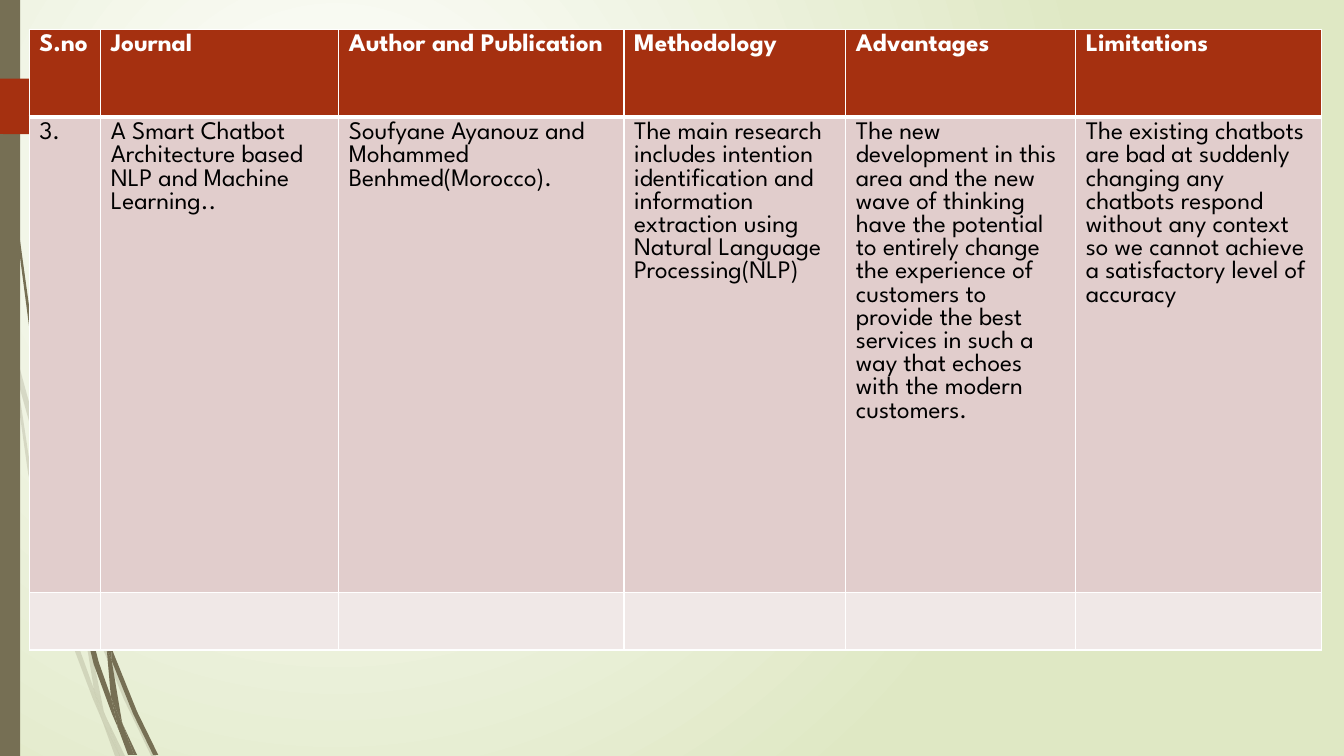
import pptx
import pptx.dml.color
import pptx.enum.dml
import pptx.enum.shapes
import pptx.oxml
import pptx.oxml.ns
import pptx.util
from lxml import etree

RGBColor = pptx.dml.color.RGBColor
Inches = pptx.util.Inches
Pt = pptx.util.Pt
qn = pptx.oxml.ns.qn

OLIVE = RGBColor(0x76, 0x6F, 0x54)
RUST = RGBColor(0xA5, 0x30, 0x10)
ROSE = RGBColor(0xE1, 0xCD, 0xCC)
PALE_ROSE = RGBColor(0xF0, 0xE8, 0xE7)
WHITE = RGBColor(0xFF, 0xFF, 0xFF)
BLACK = RGBColor(0x00, 0x00, 0x00)
PALE_GREEN = RGBColor(0xDF, 0xE8, 0xC4)

FONT = "League Spartan"
SLIDE_W, SLIDE_H = 13.33, 7.5

# Grass blades: outline points in inches from the corner of the decoration
FAINT_BLADES = [
    [(0.11, 3.5), (0.09, 3.22), (0, 2.82), (0, 2.99), (0.1, 3.44)],
    [(0.58, 5.22), (0.84, 5.99), (0.85, 5.86), (0.62, 5.2), (0.14, 3.45), (0.17, 3.76)],
    [(0.92, 6.07), (0.88, 5.96), (0.88, 6.1), (1.23, 6.94), (1.5, 7.5), (1.55, 7.5),
     (1.27, 6.92)],
    [(1.19, 7.5), (1.24, 7.5), (1.05, 7.11)],
    [(0.93, 6.83), (0.7, 6.19), (0.31, 4.69), (0.17, 3.76), (0.11, 3.5), (0.28, 4.7),
     (0.65, 6.21), (0.92, 6.93), (1.01, 7.14), (0.99, 7.07)],
    [(0.84, 5.99), (0.87, 6.46), (0.93, 6.83), (0.96, 6.92), (1.05, 7.11), (1.03, 7.06),
     (0.91, 6.46), (0.88, 6.1), (0.88, 6.08)],
    [(0.88, 5.84), (1.1, 4.62), (1.6, 3.49), (2.29, 2.45), (2.68, 1.98), (2.9, 1.75),
     (3.12, 1.54), (3.12, 1.53), (2.89, 1.75), (2.68, 1.97), (2.28, 2.44), (1.58, 3.48),
     (1.07, 4.61), (0.85, 5.84), (0.85, 5.86), (0.88, 5.96)],
    [(1.01, 7.14), (1.14, 7.5), (1.19, 7.5)],
    [(0.88, 6.08), (0.88, 6.1), (0.88, 5.96), (0.85, 5.86), (0.84, 5.99)],
    [(0.96, 6.92), (0.93, 6.83), (0.99, 7.07), (1.01, 7.14), (1.19, 7.5), (1.05, 7.11)],
]
DARK_BLADES = [
    [(0.07, 1.1), (0.17, 2.33), (0.33, 3.55), (0.56, 4.77), (0.57, 4.81), (0.55, 4.57),
     (0.55, 4.53), (0.36, 3.55), (0.19, 2.32), (0.08, 1.09), (0.05, 0.48), (0.04, 0),
     (0.03, 0), (0.04, 0.48)],
    [(0.88, 5.92), (1.06, 6.45), (1.06, 6.31), (0.93, 5.9), (0.6, 4.72), (0.64, 5.05)],
    [(1.13, 6.49), (1.1, 6.41), (1.11, 6.56), (1.32, 7.08), (1.52, 7.49), (1.57, 7.49),
     (1.36, 7.06)],
    [(1.1, 6.91), (0.98, 6.57), (0.72, 5.56), (0.64, 5.05), (0.57, 4.77), (0.68, 5.57),
     (0.93, 6.59), (1.11, 7.08), (1.17, 7.22), (1.16, 7.17)],
    [(0.6, 4.72), (0.58, 4.53), (0.54, 3.49), (0.58, 2.45), (0.63, 1.93), (0.7, 1.41),
     (0.62, 1.93), (0.56, 2.45), (0.52, 3.49), (0.55, 4.49)],
    [(1.33, 7.49), (1.36, 7.49), (1.22, 7.19)],
    [(0.57, 4.77), (0.64, 5.05), (0.6, 4.72), (0.55, 4.49), (0.55, 4.53)],
    [(1.11, 6.33), (1.25, 5.52), (1.58, 4.76), (2.05, 4.06), (2.31, 3.74), (2.45, 3.59),
     (2.61, 3.44), (2.45, 3.58), (2.31, 3.73), (2.04, 4.05), (1.56, 4.74), (1.22, 5.51),
     (1.06, 6.31), (1.1, 6.41)],
    [(1.17, 7.22), (1.27, 7.49), (1.31, 7.49)],
    [(1.06, 6.45), (1.1, 6.91), (1.16, 7.06), (1.22, 7.19), (1.21, 7.16), (1.11, 6.56),
     (1.09, 6.51)],
    [(1.06, 6.45), (1.09, 6.51), (1.11, 6.56), (1.1, 6.41), (1.06, 6.31)],
    [(1.16, 7.06), (1.1, 6.91), (1.16, 7.17), (1.17, 7.22), (1.3, 7.49), (1.33, 7.49),
     (1.22, 7.19)],
]
RUST_TAG = [(1.74, 0.28), (1.48, 0.55), (1.46, 0.56), (0, 0.55), (0, 0), (1.46, 0),
            (1.48, 0.01), (1.73, 0.26)]

COLUMNS = [0.71, 2.36, 2.83, 2.2, 2.28, 2.44]
ROWS = [0.87, 4.72, 0.57]
ROW_FILLS = [RUST, ROSE, PALE_ROSE]
SURVEY = [
    ["S.no", "Journal", "Author and Publication", "Methodology", "Advantages", "Limitations"],
    ["3.",
     "A Smart Chatbot Architecture based NLP and Machine Learning..",
     "Soufyane Ayanouz and Mohammed Benhmed(Morocco).",
     "The main research includes intention identification and information extraction "
     "using Natural Language Processing(NLP)",
     "The new development in this area and the new wave of thinking have the potential "
     "to entirely change the experience of customers to provide the best services in "
     "such a way that echoes with the modern customers.",
     "The existing chatbots are bad at suddenly changing any chatbots respond without "
     "any context so we cannot achieve a satisfactory level of accuracy"],
    [""] * len(COLUMNS),
]


def paint_background(slide):
    """Radial glow from white to pale green."""
    fill = slide.background.fill
    fill.gradient()
    for stop, color, position in zip(fill.gradient_stops, (WHITE, PALE_GREEN), (0, 1)):
        stop.color.rgb = color
        stop.position = position
    gradient = slide.background._cSld.find(".//" + qn("a:gradFill"))
    linear = gradient.find(qn("a:lin"))
    glow = etree.Element(qn("a:path"), path="circle")
    etree.SubElement(glow, qn("a:fillToRect"), l="50000", t="50000", r="100000", b="100000")
    gradient.replace(linear, glow)


def paint(shape, color, opacity=100):
    shape.shadow.inherit = False
    shape.fill.solid()
    shape.fill.fore_color.rgb = color
    shape.line.fill.background()
    if opacity < 100:
        tint = shape._element.spPr.find(".//" + qn("a:srgbClr"))
        etree.SubElement(tint, qn("a:alpha"), val=str(opacity * 1000))


def add_outline(shapes, left, top, points, color, opacity=100):
    corners = [(Inches(left + x), Inches(top + y)) for x, y in points]
    builder = shapes.build_freeform(*corners[0], scale=1.0)
    builder.add_line_segments(corners[1:], close=True)
    paint(builder.convert_to_shape(), color, opacity)


def add_decoration(slide, left, top, height):
    """Grass blades, side bar and tag along the left edge."""
    for blades, opacity in ((FAINT_BLADES, 20), (DARK_BLADES, 100)):
        tuft = slide.shapes.add_group_shape()
        for blade in blades:
            add_outline(tuft.shapes, left, top, blade, OLIVE, opacity)
    side_bar = slide.shapes.add_shape(
        pptx.enum.shapes.MSO_SHAPE.RECTANGLE,
        Inches(left), Inches(top), Inches(0.2), Inches(height))
    paint(side_bar, OLIVE)
    add_outline(slide.shapes, left, top + 0.78, RUST_TAG, RUST)


def add_borders(cell, widths):
    """White cell borders; widths in points by side."""
    properties = cell._tc.get_or_add_tcPr()
    for side, width in widths.items():
        border = etree.SubElement(properties, qn("a:ln" + side), w=str(Pt(width)))
        solid = etree.SubElement(border, qn("a:solidFill"))
        etree.SubElement(solid, qn("a:srgbClr"), val=str(WHITE))


def add_survey(slide, left, top):
    """Literature survey table."""
    survey = slide.shapes.add_table(
        len(ROWS), len(COLUMNS), Inches(left), Inches(top),
        Inches(sum(COLUMNS)), Inches(sum(ROWS))).table
    for column, width in zip(survey.columns, COLUMNS):
        column.width = Inches(width)
    for r, (height, fill, texts) in enumerate(zip(ROWS, ROW_FILLS, SURVEY)):
        survey.rows[r].height = Inches(height)
        header = r == 0
        for c, text in enumerate(texts):
            cell = survey.cell(r, c)
            add_borders(cell, {"L": 1, "R": 1, "T": 3 if r == 1 else 1, "B": 3 if header else 1})
            cell.fill.solid()
            cell.fill.fore_color.rgb = fill
            cell.text = text
            font = cell.text_frame.paragraphs[0].font
            font.name = FONT
            font.size = Pt(18)
            font.bold = header
            font.color.rgb = WHITE if header else BLACK


def main():
    deck = pptx.Presentation()
    deck.slide_width, deck.slide_height = Inches(SLIDE_W), Inches(SLIDE_H)
    slide = deck.slides.add_slide(deck.slide_layouts[6])
    paint_background(slide)
    add_decoration(slide, 0, 0, SLIDE_H)
    add_survey(slide, 0.29, 0.29)
    deck.save("out.pptx")


if __name__ == "__main__":
    main()
